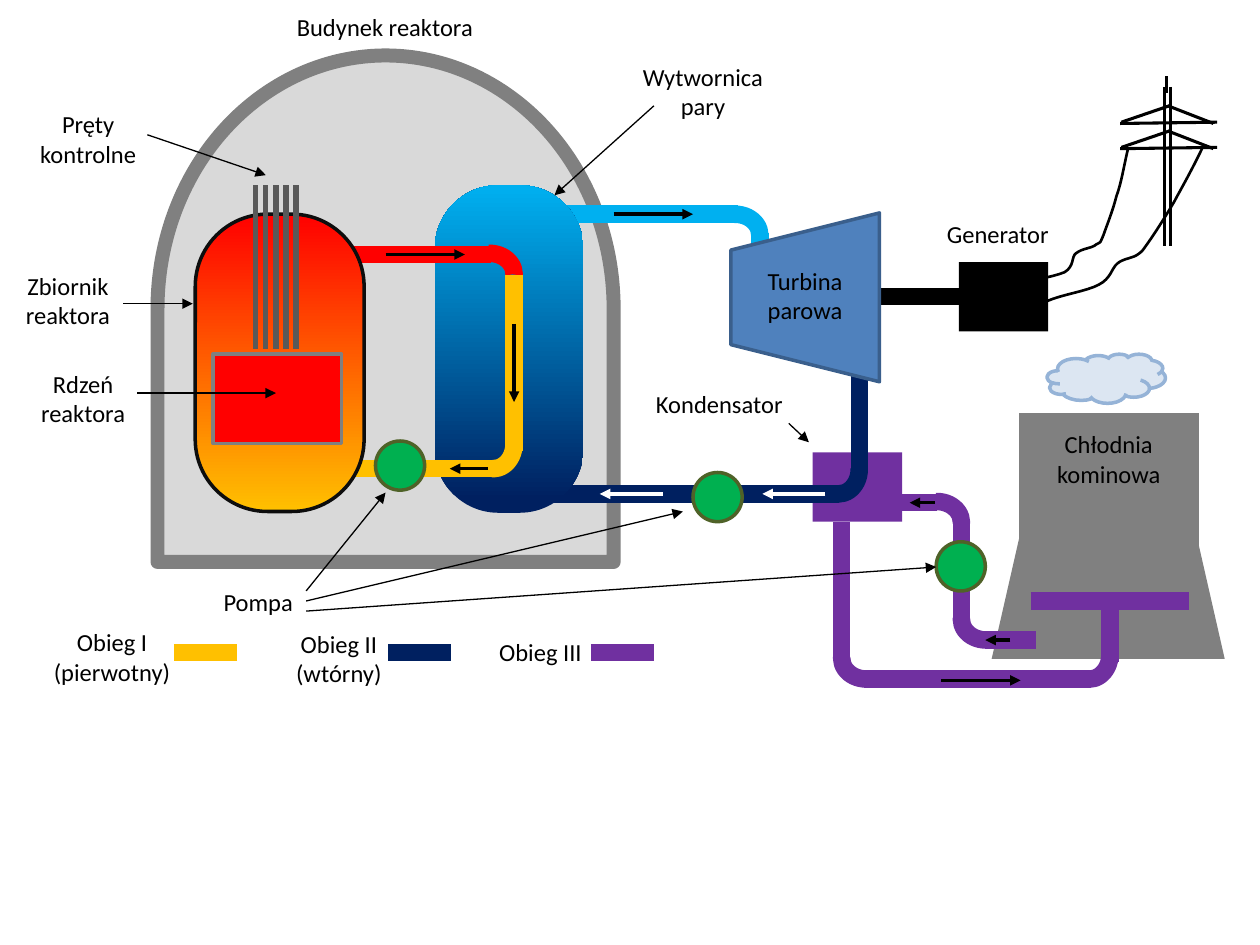
from dataclasses import dataclass

from lxml import etree
from pptx import Presentation
from pptx.dml.color import RGBColor
from pptx.enum.shapes import MSO_CONNECTOR, MSO_SHAPE
from pptx.enum.text import MSO_AUTO_SIZE, PP_ALIGN
from pptx.oxml.ns import qn
from pptx.util import Inches, Pt

STRAIGHT = MSO_CONNECTOR.STRAIGHT
RECT = MSO_SHAPE.RECTANGLE
ROUND = MSO_SHAPE.ROUNDED_RECTANGLE
DOME = MSO_SHAPE.FLOWCHART_DELAY
TRAP = MSO_SHAPE.TRAPEZOID
OVAL = MSO_SHAPE.OVAL
ARC = MSO_SHAPE.ARC
CLOUD = MSO_SHAPE.CLOUD
CENTER = PP_ALIGN.CENTER
GROW = MSO_AUTO_SIZE.SHAPE_TO_FIT_TEXT

WIDTH, HEIGHT = Inches(10), Inches(7.5)
COLS, ROWS = 100, 75
LEFT = 1
BLACK, WHITE, GRAY = "000000", "FFFFFF", "808080"
RED, GOLD, SKY, NAVY, PURPLE = "FF0000", "FFC000", "00B0F0", "002060", "7030A0"
PIPE, FLOW, LEAD, WIRE = 10, 2, 0.75, 1.75


@dataclass
class Line:
    x1: float
    y1: float
    x2: float
    y2: float
    color: str = BLACK
    width: float = PIPE
    arrow: bool = False


@dataclass
class Block:
    kind: int
    x: float
    y: float
    w: float
    h: float
    fill: str | tuple = ""
    edge: str = ""
    width: float = 2
    turn: float = 0
    bend: tuple = ()


@dataclass
class Label:
    text: str
    x: float
    y: float
    w: float = 12.6
    h: float = 5.7


def col(n: float) -> int:
    return round(n * WIDTH / COLS)


def row(n: float) -> int:
    return round(n * HEIGHT / ROWS)


def rgb(code: str) -> RGBColor:
    return RGBColor.from_string(code)


def draw_line(shapes, line: Line):
    item = shapes.add_connector(STRAIGHT, col(line.x1), row(line.y1), col(line.x2), row(line.y2))
    item.line.color.rgb = rgb(line.color)
    item.line.width = Pt(line.width)
    if line.arrow:
        etree.SubElement(item.line._get_or_add_ln(), qn("a:tailEnd"), type="triangle")
    etree.SubElement(item._element.spPr, qn("a:effectLst"))
    return item


def draw_block(shapes, block: Block):
    item = shapes.add_shape(block.kind, col(block.x), row(block.y), col(block.w), row(block.h))
    item.shadow.inherit = False
    item.rotation = block.turn
    for spot, value in enumerate(block.bend):
        item.adjustments[spot] = value
    if isinstance(block.fill, tuple):
        item.fill.gradient()
        item.fill.gradient_angle = 90
        for stop, (place, code) in zip(item.fill.gradient_stops, block.fill):
            stop.position = place
            stop.color.rgb = rgb(code)
    elif block.fill:
        item.fill.solid()
        item.fill.fore_color.rgb = rgb(block.fill)
    else:
        item.fill.background()
    if block.edge:
        item.line.color.rgb = rgb(block.edge)
        item.line.width = Pt(block.width)
    else:
        item.line.fill.background()
    return item


def draw_label(shapes, label: Label) -> None:
    frame = shapes.add_textbox(col(label.x), row(label.y), col(label.w), row(label.h)).text_frame
    frame.word_wrap = True
    frame.auto_size = GROW
    frame.text = label.text
    for para in frame.paragraphs:
        para.alignment = CENTER
        for run in para.runs:
            run.font.size = Pt(14)
            run.font.name = "Calibri"
            run.font.color.rgb = rgb(BLACK)


def draw_cable(shapes, start: tuple, curves: list, steps: int = 8) -> None:
    dots, last = [], start
    for ax, ay, bx, by, ex, ey in curves:
        for step in range(1, steps + 1):
            t = step / steps
            parts = ((1 - t) ** 3, 3 * t * (1 - t) ** 2, 3 * t * t * (1 - t), t ** 3)
            x = sum(p * v for p, v in zip(parts, (last[0], ax, bx, ex)))
            y = sum(p * v for p, v in zip(parts, (last[1], ay, by, ey)))
            dots.append((col(x), row(y)))
        last = (ex, ey)
    pen = shapes.build_freeform(col(start[0]), row(start[1]))
    pen.add_line_segments(dots, close=False)
    item = pen.convert_to_shape()
    item.shadow.inherit = False
    item.fill.background()
    item.line.color.rgb = rgb(BLACK)
    item.line.width = Pt(1.5)


def draw_all(shapes, parts: list) -> None:
    for part in parts:
        if isinstance(part, Line):
            draw_line(shapes, part)
        elif isinstance(part, Block):
            draw_block(shapes, part)
        else:
            draw_label(shapes, part)


def elbow(x: float, y: float, color: str, turn: float = 0) -> Block:
    return Block(ARC, x, y, 3.3, 3.9, "", color, PIPE, turn, (214.603, 54.631))


def pump(x: float, y: float) -> Block:
    return Block(OVAL, x, y, 3.9, 3.9, "00B050", "4F6228")


def flow(x1: float, y1: float, x2: float, y2: float, color: str = BLACK) -> Line:
    return Line(x1, y1, x2, y2, color, FLOW, True)


def lead(x1: float, y1: float, x2: float, y2: float) -> Line:
    return Line(x1, y1, x2, y2, BLACK, LEAD, True)


def wire(x1: float, y1: float, x2: float, y2: float) -> Line:
    return Line(x1, y1, x2, y2, BLACK, WIRE)


HALL = [
    Block(RECT, 64.5, 35.9, 7.1, 5.5, PURPLE),
    Block(DOME, 10.5, 6.4, 40.2, 36.2, "D9D9D9", GRAY, 8, 270),
    Line(42.6, 39.2, 66.6, 39.2, NAVY), Line(41.6, 17, 58.6, 17, SKY),
    Block(ROUND, 34.5, 14.7, 11.8, 26, ((0.04, NAVY), (1, SKY)), bend=(0.428,)),
    elbow(37.5, 33.3, GOLD), elbow(37.2, 19.8, RED, 270),
    Line(40.8, 21.8, 40.8, 35.8, GOLD), Line(39, 20.2, 25, 20.2, RED),
    Line(39.2, 37.2, 27.5, 37.2, GOLD),
    Block(ROUND, 15.5, 17, 13.4, 23.6, ((0, GOLD), (1, RED)), "0D0D0D", bend=(0.428,)),
    pump(29.8, 35),
    Block(RECT, 16.9, 28.1, 10.2, 7.1, RED, GRAY),
    *[Line(x, 14.7, x, 27.7, "595959", 3) for x in (20.3, 21.1, 21.9, 22.7, 23.5)],
]
PLANT = [
    elbow(64.9, 35.3, NAVY), elbow(56.7, 16.7, SKY, 270),
    Line(60.3, 21.5, 60.3, 18.5, SKY), Line(68.2, 28.5, 68.2, 37.5, NAVY),
    Block(TRAP, 57.2, 17.7, 13.4, 11.8, "4F81BD", "3A5F8C", 2, 270),
    pump(55, 37.5),
]
MAST = [wire(x, 6.9, x, 19.5) for x in (92.4, 92.9)] + [wire(92.6, 7.4, 92.6, 6)]
for y in (11.8, 9.8):
    MAST += [wire(88.9, y, 96.6, y - 0.1), wire(89, y - 0.1, 92.8, y - 1.4),
             wire(96.3, y, 92.7, y - 1.4)]
CABLES = [
    ((78.6, 24.4), [(79, 23.8, 79.4, 23.2, 80.3, 22.8), (81.3, 22.3, 83.6, 22, 84.5, 21.6),
                    (85.3, 21.1, 85, 20.4, 85.4, 20.1), (85.9, 19.7, 86.7, 19.7, 87, 19.4),
                    (87.4, 19.2, 87.3, 19.3, 87.6, 18.6), (87.8, 18, 88.3, 16.8, 88.6, 15.6),
                    (89, 14.5, 89.2, 13.2, 89.5, 11.9)]),
    ((81, 25.7), [(81.5, 25, 82.1, 24.4, 83.1, 23.9), (84.2, 23.4, 86.3, 23.1, 87.2, 22.6),
                  (88.2, 22.1, 88.2, 21.3, 88.7, 20.9), (89.2, 20.5, 89.9, 20.5, 90.3, 20.2),
                  (90.7, 19.9, 90.6, 20, 91.1, 19.3), (91.6, 18.6, 92.5, 17.2, 93.2, 16),
                  (93.9, 14.7, 94.7, 13.3, 95.4, 11.8)]),
]
TOWER = [
    Block(TRAP, 78.7, 35.8, 18.5, 16.5, GRAY, bend=(0.228,)),
    Block(TRAP, 80.9, 32.8, 14.3, 11.6, GRAY, bend=(0,)),
    Block(CLOUD, 83.1, 28.1, 9.4, 3.9, "DCE6F2", "95B3D7"),
    elbow(72.7, 39.5, PURPLE, 270), elbow(76.6, 47.2, PURPLE, 90),
    elbow(67.1, 50.3, PURPLE, 90), elbow(84.8, 50, PURPLE),
    *[Line(*ends, PURPLE) for ends in (
        (69.7, 39.9, 74.4, 39.9), (76.3, 49.2, 76.3, 41.4), (78.2, 50.8, 82.2, 50.8),
        (81.8, 47.7, 94.4, 47.7), (88.1, 52.5, 88.1, 47.5), (66.8, 52.4, 66.8, 41.4),
        (68.6, 53.9, 86.6, 53.9))],
    pump(74.3, 43),
]
ARROWS = [
    flow(30.6, 20.2, 36.9, 20.2), flow(40.8, 25.7, 40.8, 31.9), flow(38.7, 37.2, 35.7, 37.2),
    flow(48.7, 17, 55, 17), flow(74.7, 54, 81, 54), flow(74.2, 39.9, 72.2, 39.9),
    flow(80.2, 50.8, 78.2, 50.8),
    *[flow(x, 39.2, x - 5, 39.2, WHITE) for x in (52.6, 65.5)],
    lead(10.9, 31.2, 21.9, 31.2), lead(9.8, 24.1, 15.3, 24.1), lead(11.7, 10.7, 21.1, 13.9),
    lead(24.3, 46.9, 30.6, 39.1), lead(24.3, 47.7, 54.2, 40.6), lead(24.3, 48.5, 74.3, 45),
    lead(51.9, 8.4, 44, 15.5), lead(62.6, 33.6, 64.2, 35.1),
]
KEY = [Line(x, 51.8, x + 5, 51.8, tint) for x, tint in ((13.8, GOLD), (30.8, NAVY), (46.9, PURPLE))]
LABELS = [
    Label("Generator", 72.9, 16.9, h=3.4), Label("Wytwornica pary", 49.5, 4.4),
    Label("Turbina parowa", 57.6, 20.6), Label("Rdzeń reaktora", 0.3, 28.8),
    Label("Zbiornik reaktora", -0.9, 21), Label("Pręty kontrolne", 0.7, 8.2),
    Label("Pompa", 14.2, 46.1, h=3.4), Label("Budynek reaktora", 21.9, 0.5, 17.3, 3.4),
    Label("Obieg I\n(pierwotny)", 2.6, 49.3), Label("Obieg II\n(wtórny)", 20.6, 49.4),
    Label("Obieg III", 36.6, 50.1, h=3.4), Label("Chłodnia kominowa", 82.7, 33.6, 10.6),
    Label("Kondensator", 50.8, 30.4, h=3.4),
]


def main() -> None:
    deck = Presentation()
    deck.slide_width, deck.slide_height = WIDTH, HEIGHT
    shapes = deck.slides.add_slide(deck.slide_layouts[6]).shapes
    draw_all(shapes, HALL)
    genset = draw_block(shapes, Block(RECT, 76.1, 20.8, 7.1, 5.5, BLACK))
    shaft = draw_line(shapes, Line(76.1, 23.55, 65.1, 23.55))
    shaft.begin_connect(genset, LEFT)
    draw_all(shapes, PLANT + MAST)
    for start, curves in CABLES:
        draw_cable(shapes, start, curves)
    draw_all(shapes, TOWER + ARROWS + KEY + LABELS)
    deck.save("out.pptx")


if __name__ == "__main__":
    main()
